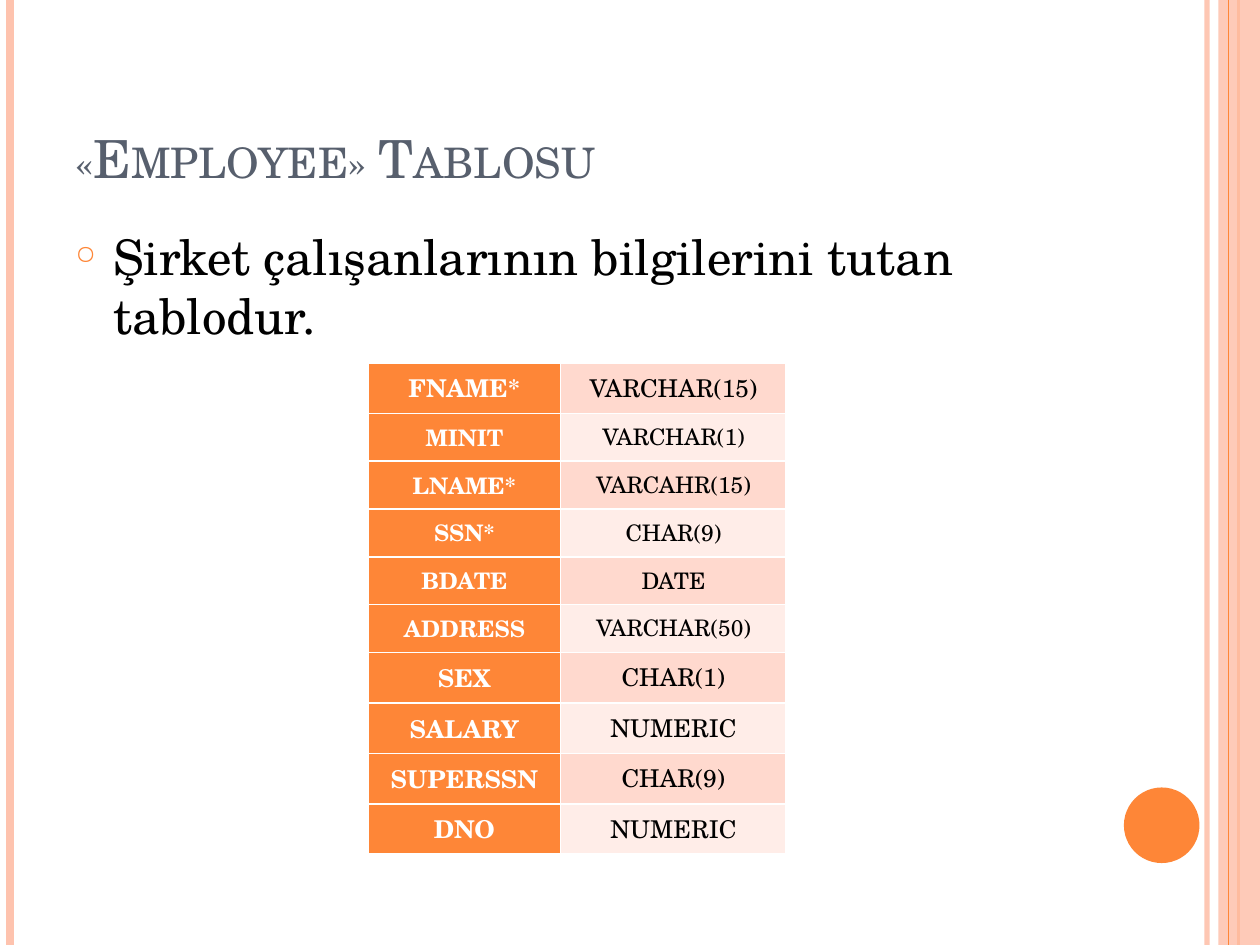
from lxml.etree import SubElement
from pptx import Presentation
from pptx.dml.color import RGBColor
from pptx.enum.shapes import MSO_CONNECTOR, MSO_SHAPE
from pptx.enum.text import MSO_ANCHOR, PP_ALIGN
from pptx.oxml.ns import qn
from pptx.util import Inches, Pt

FONT = "TeX Gyre Schola"
COLORS = {
    "orange": "FE8637", "peach": "FEC3AE", "slate": "575F6D",
    "band_dark": "FFD9CE", "band_light": "FFEDE8",
    "white": "FFFFFF", "black": "000000",
}


def style(paragraph, size, color, bold=False):
    paragraph.font.name = FONT
    paragraph.font.size = Pt(size)
    paragraph.font.bold = bold
    paragraph.font.color.rgb = RGBColor.from_string(COLORS[color])


def add_stripe(x, color, width, opacity=100):
    stripe = slide.shapes.add_connector(
        MSO_CONNECTOR.STRAIGHT, Inches(x), 0, Inches(x), prs.slide_height)
    stripe.line.color.rgb = RGBColor.from_string(COLORS[color])
    stripe.line.width = Pt(width)
    properties = stripe._element.spPr
    SubElement(properties, qn("a:effectLst"))
    if opacity < 100:
        rgb = next(properties.iter(qn("a:srgbClr")))
        SubElement(rgb, qn("a:alpha"), val=str(opacity * 1000))


prs = Presentation()
prs.slide_width, prs.slide_height = Inches(10), Inches(7.5)
slide = prs.slides.add_slide(prs.slide_layouts[6])

# Edge decoration
add_stripe(9.58, "peach", 3, 93)
add_stripe(0.08, "peach", 4.5)
add_stripe(9.83, "orange", 1.5)
band = slide.shapes.add_shape(
    MSO_SHAPE.RECTANGLE, Inches(9.67), 0, Inches(0.33), prs.slide_height)
add_stripe(9.75, "orange", 0.75)
disc = slide.shapes.add_shape(
    MSO_SHAPE.OVAL, Inches(8.92), Inches(6.25), Inches(0.6), Inches(0.6))
for ornament, color in ((band, "peach"), (disc, "orange")):
    ornament.shadow.inherit = False
    ornament.fill.solid()
    ornament.fill.fore_color.rgb = RGBColor.from_string(COLORS[color])
    ornament.line.fill.background()
band_rgb = next(band._element.spPr.iter(qn("a:srgbClr")))
SubElement(band_rgb, qn("a:alpha"), val="87000")

# Title in small capitals
title = slide.shapes.add_textbox(
    Inches(0.5), Inches(0.3), Inches(8.17), Inches(1.25)).text_frame
title.word_wrap = True
title.vertical_anchor = MSO_ANCHOR.BOTTOM
heading = title.paragraphs[0]
heading.text = "«Employee» Tablosu"
style(heading, 30, "slate")
heading.runs[0].font._element.set("cap", "small")

# Bulleted description
body = slide.shapes.add_textbox(
    Inches(0.5), Inches(1.75), Inches(8.17), Inches(1.37)).text_frame
body.word_wrap = True
description = body.paragraphs[0]
description.text = "Şirket çalışanlarının bilgilerini tutan tablodur."
description.space_before = Pt(6)
style(description, 28, "black")
bullet = description._p.get_or_add_pPr()
bullet.set("marL", str(Inches(0.3)))
bullet.set("indent", str(-Inches(0.3)))
bullet_parts = [
    SubElement(bullet, qn("a:buClr")),
    SubElement(bullet, qn("a:buSzPct"), val="53000"),
    SubElement(bullet, qn("a:buChar"), char="○"),
]
SubElement(bullet_parts[0], qn("a:srgbClr"), val=COLORS["orange"])
for position, part in enumerate(bullet_parts):
    # Bullet settings follow the spacing and precede the default run properties
    bullet.insert(1 + position, part)

# Column definitions: name, type, text size
fields = [
    ("FNAME*", "VARCHAR(15)", 14),
    ("MINIT", "VARCHAR(1)", 13),
    ("LNAME*", "VARCAHR(15)", 13),
    ("SSN*", "CHAR(9)", 13),
    ("BDATE", "DATE", 13),
    ("ADDRESS", "VARCHAR(50)", 13),
    ("SEX", "CHAR(1)", 14),
    ("SALARY", "NUMERIC", 14),
    ("SUPERSSN", "CHAR(9)", 14),
    ("DNO", "NUMERIC", 14),
]
row_heights = {14: Inches(0.4), 13: Inches(0.38)}
employee = slide.shapes.add_table(
    len(fields), 2, Inches(2.92), Inches(2.88), Inches(3.32), Inches(3.9)).table
employee.first_row = False
employee.horz_banding = False
employee.columns[0].width = Inches(1.53)
employee.columns[1].width = Inches(1.79)
for row, (name, data_type, size) in enumerate(fields):
    employee.rows[row].height = row_heights[size]
    shade = "band_light" if row % 2 else "band_dark"
    cells = ((name, "orange", "white", True), (data_type, shade, "black", False))
    for column, (text, fill, color, bold) in enumerate(cells):
        cell = employee.cell(row, column)
        cell.text = text
        entry = cell.text_frame.paragraphs[0]
        entry.alignment = PP_ALIGN.CENTER
        style(entry, size, color, bold)
        # White borders come before the fill in the cell properties
        properties = cell._tc.get_or_add_tcPr()
        for side in ("a:lnL", "a:lnR", "a:lnT", "a:lnB"):
            border = SubElement(properties, qn(side), w=str(Pt(1)))
            paint = SubElement(border, qn("a:solidFill"))
            SubElement(paint, qn("a:srgbClr"), val=COLORS["white"])
        cell.fill.solid()
        cell.fill.fore_color.rgb = RGBColor.from_string(COLORS[fill])

prs.save("out.pptx")
